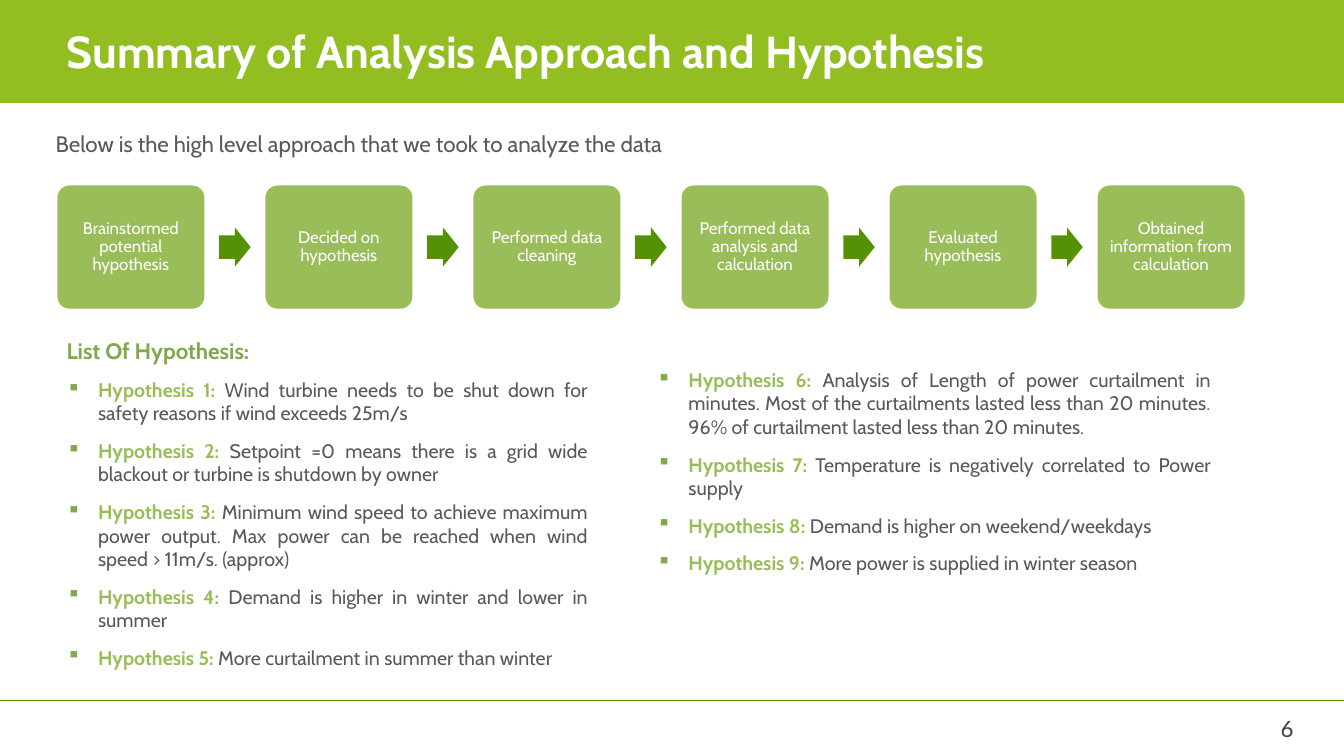
from lxml import etree
from pptx import Presentation
from pptx.dml.color import RGBColor
from pptx.enum.shapes import MSO_CONNECTOR, MSO_SHAPE
from pptx.enum.text import MSO_ANCHOR, PP_ALIGN
from pptx.oxml.ns import qn
from pptx.util import Pt

LEFT, CENTER, RIGHT, JUSTIFY = PP_ALIGN.LEFT, PP_ALIGN.CENTER, PP_ALIGN.RIGHT, PP_ALIGN.JUSTIFY
TOP, MIDDLE = MSO_ANCHOR.TOP, MSO_ANCHOR.MIDDLE

TITLE = "Summary of Analysis Approach and Hypothesis"
INTRO = "Below is the high level approach that we took to analyze the data"
STEPS = [
    "Brainstormed potential hypothesis",
    "Decided on hypothesis",
    "Performed data cleaning",
    "Performed data analysis and calculation",
    "Evaluated hypothesis",
    "Obtained information from calculation",
]
LIST_HEADING = "List Of Hypothesis:"
HYPOTHESES = [
    "Wind turbine needs to be shut down for safety reasons if wind exceeds 25m/s",
    "Setpoint =0 means there is a grid wide blackout or turbine is shutdown by owner",
    "Minimum wind speed to achieve maximum power output. "
    "Max power can be reached when wind speed > 11m/s. (approx)",
    "Demand is higher in winter and lower in summer",
    "More curtailment in summer than winter",
    "Analysis of Length of power curtailment in minutes. Most of the curtailments lasted "
    "less than 20 minutes. 96% of curtailment lasted less than 20 minutes.",
    "Temperature is negatively correlated to Power supply",
    "Demand is higher on weekend/weekdays",
    "More power is supplied in winter season",
]
LEFT_COUNT = 5
PAGE_NUMBER = "6"

COLORS = {
    "banner": "92BE21", "step": "99BD59", "arrow": "569105", "heading": "81A84D",
    "body": "595959", "number": "404040", "white": "FFFFFF",
}
FONT, NUMBER_FONT = "Cabin", "Lato"

SLIDE_WIDTH, SLIDE_HEIGHT = 960, 540
BANNER_HEIGHT = 73.5
STEP_LEFT, STEP_TOP, STEP_WIDTH, STEP_HEIGHT, STEP_PITCH = 40.5, 132, 106, 89, 148.6
ARROW_WIDTH, ARROW_HEIGHT = 22.5, 28
STEP_INSET = 6
BULLET_INDENT = 22.5
FOOTER_Y = 500.4


def color(name):
    return RGBColor.from_string(COLORS[name])


def add_block(slide, kind, left, top, width, height, fill):
    shape = slide.shapes.add_shape(kind, Pt(left), Pt(top), Pt(width), Pt(height))
    shape.shadow.inherit = False
    shape.fill.solid()
    shape.fill.fore_color.rgb = color(fill)
    shape.line.fill.background()
    return shape


def add_text_frame(slide, left, top, width, height, anchor=TOP):
    box = slide.shapes.add_textbox(Pt(left), Pt(top), Pt(width), Pt(height))
    box.text_frame.word_wrap = True
    box.text_frame.vertical_anchor = anchor
    return box.text_frame


def format_run(run, size, color_name, bold=False, font=FONT):
    run.font.name = font
    run.font.size = Pt(size)
    run.font.bold = bold
    run.font.color.rgb = color(color_name)


def write_line(paragraph, text, size, color_name, align=LEFT, spacing=1.0, bold=False, font=FONT):
    paragraph.text = text
    paragraph.alignment = align
    paragraph.line_spacing = spacing
    format_run(paragraph.runs[0], size, color_name, bold, font)


def add_bullet(paragraph):
    properties = paragraph._p.get_or_add_pPr()
    properties.set("marL", str(Pt(BULLET_INDENT)))
    properties.set("indent", str(-Pt(BULLET_INDENT)))
    bullet_color = etree.SubElement(properties, qn("a:buClr"))
    etree.SubElement(bullet_color, qn("a:srgbClr"), val=COLORS["heading"])
    etree.SubElement(properties, qn("a:buChar"), char="▪")


def write_hypotheses(text_frame, first, last):
    """Add the numbered hypotheses first to last below any text already in the frame."""
    for number in range(first, last + 1):
        starts_box = not text_frame.text
        paragraph = text_frame.paragraphs[0] if starts_box else text_frame.add_paragraph()
        add_bullet(paragraph)
        write_line(paragraph, f"Hypothesis {number}: ", 14, "step", JUSTIFY, bold=True)
        if not starts_box:
            paragraph.space_before = Pt(10)
        statement = paragraph.add_run()
        statement.text = HYPOTHESES[number - 1]
        format_run(statement, 14, "body")


def add_process(slide):
    gap = STEP_PITCH - STEP_WIDTH
    for index, step in enumerate(STEPS):
        left = STEP_LEFT + index * STEP_PITCH
        box = add_block(slide, MSO_SHAPE.ROUNDED_RECTANGLE, left, STEP_TOP,
                        STEP_WIDTH, STEP_HEIGHT, "step")
        box.adjustments[0] = 0.1
        box.line.color.rgb = color("white")
        box.line.width = Pt(1)
        text_frame = box.text_frame
        text_frame.word_wrap = True
        text_frame.vertical_anchor = MIDDLE
        text_frame.margin_left = text_frame.margin_right = Pt(STEP_INSET)
        text_frame.margin_top = text_frame.margin_bottom = Pt(STEP_INSET)
        write_line(text_frame.paragraphs[0], step, 12, "white", CENTER, 0.9)
        if index < len(STEPS) - 1:
            arrow = add_block(slide, MSO_SHAPE.RIGHT_ARROW,
                              left + STEP_WIDTH + (gap - ARROW_WIDTH) / 2,
                              STEP_TOP + (STEP_HEIGHT - ARROW_HEIGHT) / 2,
                              ARROW_WIDTH, ARROW_HEIGHT, "arrow")
            arrow.adjustments[0] = 0.6
            arrow.adjustments[1] = 0.5


def add_footer(slide):
    number = add_text_frame(slide, 715, 506, 216, 29, MIDDLE)
    write_line(number.paragraphs[0], PAGE_NUMBER, 16, "number", RIGHT, font=NUMBER_FONT)
    line = slide.shapes.add_connector(MSO_CONNECTOR.STRAIGHT, Pt(0), Pt(FOOTER_Y),
                                      Pt(SLIDE_WIDTH), Pt(FOOTER_Y))
    line.line.color.rgb = color("arrow")
    line.line.width = Pt(0.75)
    etree.SubElement(line._element.spPr, qn("a:effectLst"))


def main():
    presentation = Presentation()
    presentation.slide_width, presentation.slide_height = Pt(SLIDE_WIDTH), Pt(SLIDE_HEIGHT)
    slide = presentation.slides.add_slide(presentation.slide_layouts[6])

    add_block(slide, MSO_SHAPE.RECTANGLE, 0, 0, SLIDE_WIDTH, BANNER_HEIGHT, "banner")
    title = add_text_frame(slide, 40.5, 17.3, 828, 41.8, MIDDLE)
    write_line(title.paragraphs[0], TITLE, 32, "white", spacing=0.9, bold=True)
    intro = add_text_frame(slide, 32.6, 80, 809, 39.6)
    write_line(intro.paragraphs[0], INTRO, 16, "body", JUSTIFY, 1.5)

    add_process(slide)

    left_list = add_text_frame(slide, 40.5, 227.5, 386.6, 212.4)
    write_line(left_list.paragraphs[0], LIST_HEADING, 16, "heading", spacing=1.5, bold=True)
    write_hypotheses(left_list, 1, LEFT_COUNT)
    right_list = add_text_frame(slide, 462.2, 259.2, 410, 188)
    write_hypotheses(right_list, LEFT_COUNT + 1, len(HYPOTHESES))

    add_footer(slide)
    presentation.save("out.pptx")


if __name__ == "__main__":
    main()
